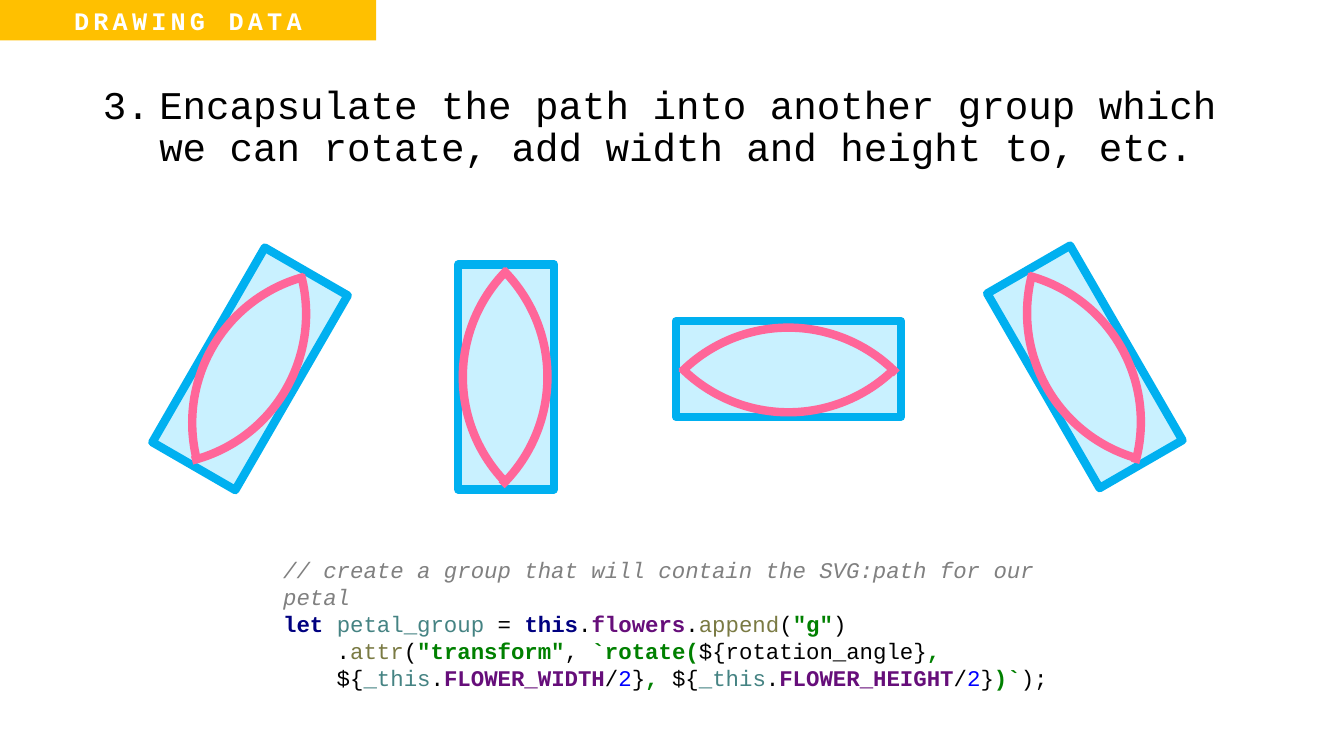
import math
from lxml import etree
from pptx import Presentation
from pptx import util as u
from pptx.dml.color import RGBColor
from pptx.enum import shapes, text
from pptx.oxml.ns import qn

FONT = "Courier New"


def color(hex_value):
    return RGBColor.from_string(hex_value)


def add_run(paragraph, words, size, hex_value, bold=False, italic=False):
    run = paragraph.add_run()
    run.text = words
    run.font.name = FONT
    run.font.size = u.Pt(size)
    run.font.bold = bold
    run.font.italic = italic
    run.font.color.rgb = color(hex_value)
    return run


prs = Presentation()
prs.slide_width = u.Inches(13.33)
prs.slide_height = u.Inches(7.5)
slide = prs.slides.add_slide(prs.slide_layouts[1])

banner = slide.shapes.title
banner.left, banner.top = u.Inches(0), u.Inches(0)
banner.width, banner.height = u.Inches(3.73), u.Inches(0.4)
banner.fill.solid()
banner.fill.fore_color.rgb = color("FFC000")
banner.text_frame.auto_size = text.MSO_AUTO_SIZE.NONE
banner.text_frame.vertical_anchor = text.MSO_ANCHOR.MIDDLE
heading = banner.text_frame.paragraphs[0]
heading.alignment = text.PP_ALIGN.CENTER
heading_run = add_run(heading, "DRAWING DATA", 18, "FFFFFF", bold=True)
heading_run.font._element.set("spc", "300")

instruction = slide.placeholders[1]
instruction.left, instruction.top = u.Inches(0.92), u.Inches(0.8)
instruction.width, instruction.height = u.Inches(11.5), u.Inches(5.95)
instruction.text_frame.auto_size = text.MSO_AUTO_SIZE.NONE
step = instruction.text_frame.paragraphs[0]
step.line_spacing = 0.9
step.space_before = u.Pt(0)
step_format = step._p.get_or_add_pPr()
step_format.set("marL", str(u.Inches(0.56)))
step_format.set("indent", str(-u.Inches(0.56)))
bullet_font = etree.SubElement(step_format, qn("a:buFont"))
bullet_font.set("typeface", "+mj-lt")
numbering = etree.SubElement(step_format, qn("a:buAutoNum"))
numbering.set("type", "arabicPeriod")
numbering.set("startAt", "3")
add_run(step, "Encapsulate the path into another group which we can rotate, "
        "add width and height to, etc.", 28, "000000")

petals = [(2.48, 3.66, 30), (5.02, 3.74, 0), (7.82, 3.66, 270), (10.76, 3.64, 330)]
RECT, ARC = shapes.MSO_SHAPE.RECTANGLE, shapes.MSO_SHAPE.ARC
petal_parts = [
    (RECT, 0, 0.95, 2.23, 0, "00B0F0", None),
    (ARC, -1.09, 3, 3, 45, "FF6699", 0.46),
    (ARC, 1.07, 3, 3, 315, "FF6699", 215.73),
]
for center_x, center_y, turn in petals:
    petal_group = slide.shapes.add_group_shape()
    angle = math.radians(turn)
    for kind, offset, width, height, tilt, outline, arc_end in petal_parts:
        x = center_x + offset * math.cos(angle)
        y = center_y + offset * math.sin(angle)
        part = petal_group.shapes.add_shape(
            kind, u.Inches(x - width / 2), u.Inches(y - height / 2),
            u.Inches(width), u.Inches(height))
        part.rotation = (turn + tilt) % 360
        part.shadow.inherit = False
        part.line.color.rgb = color(outline)
        part.line.width = u.Pt(6)
        if kind == RECT:
            part.fill.solid()
            part.fill.fore_color.rgb = color("C9F1FF")
        else:
            part.fill.background()
            part.adjustments[0] = 162
            part.adjustments[1] = arc_end
            if offset > 0:
                part.element.spPr.xfrm.set("flipH", "1")

syntax = {
    "comment": ("808080", False, True),
    "keyword": ("000080", True, False),
    "variable": ("458383", False, False),
    "plain": ("000000", False, False),
    "field": ("660E7A", True, False),
    "method": ("7A7A43", False, False),
    "string": ("008000", True, False),
    "number": ("0000FF", False, False),
}
code_lines = [
    [("comment", "// create a group that will contain the SVG:path for our petal")],
    [("keyword", "let "), ("variable", "petal_group "), ("plain", "= "),
     ("keyword", "this"), ("plain", "."), ("field", "flowers"), ("plain", "."),
     ("method", "append"), ("plain", "("), ("string", '"g"'), ("plain", ")")],
    [("plain", "    ."), ("method", "attr"), ("plain", "("),
     ("string", '"transform"'), ("plain", ", "), ("string", "`rotate("),
     ("plain", "${rotation_angle}"), ("string", ",")],
    [("plain", "    ${"), ("variable", "_this"), ("plain", "."),
     ("field", "FLOWER_WIDTH"), ("plain", "/"), ("number", "2"), ("plain", "}"),
     ("string", ", "), ("plain", "${"), ("variable", "_this"), ("plain", "."),
     ("field", "FLOWER_HEIGHT"), ("plain", "/"), ("number", "2"), ("plain", "}"),
     ("string", ")`"), ("plain", ");")],
]
snippet = slide.shapes.add_textbox(
    u.Inches(2.71), u.Inches(5.47), u.Inches(7.92), u.Inches(1.99))
snippet.text_frame.word_wrap = True
code = snippet.text_frame.paragraphs[0]
for number, tokens in enumerate(code_lines):
    if number:
        code.add_line_break()
    for token, words in tokens:
        hex_value, bold, italic = syntax[token]
        add_run(code, words, 16, hex_value, bold, italic)

prs.save("out.pptx")
